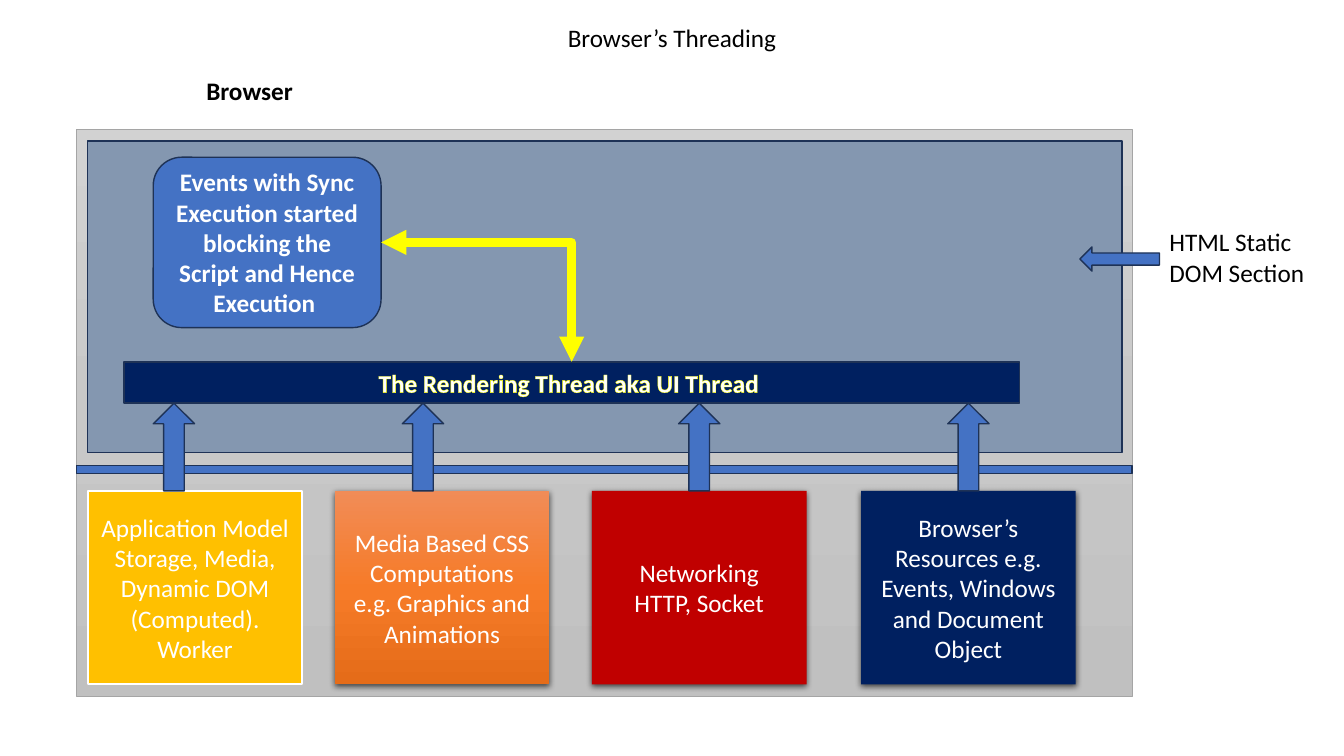
import copy

import pptx
import pptx.dml.color
import pptx.enum.shapes
import pptx.enum.text
import pptx.oxml
import pptx.oxml.ns
import pptx.util

Inches = pptx.util.Inches
Pt = pptx.util.Pt
RGBColor = pptx.dml.color.RGBColor
Shape = pptx.enum.shapes.MSO_SHAPE
Align = pptx.enum.text.PP_ALIGN
NS = pptx.oxml.ns.nsdecls("a")

BLACK = RGBColor(0x00, 0x00, 0x00)
WHITE = RGBColor(0xFF, 0xFF, 0xFF)
YELLOW = RGBColor(0xFF, 0xFF, 0x00)
BLUE = RGBColor(0x44, 0x72, 0xC4)
DARK_BLUE = RGBColor(0x1E, 0x32, 0x56)
NAVY = RGBColor(0x00, 0x20, 0x60)
SLATE = RGBColor(0x84, 0x97, 0xB0)
GOLD = RGBColor(0xFF, 0xC0, 0x00)
RED = RGBColor(0xC0, 0x00, 0x00)
GRAY = RGBColor(0xA5, 0xA5, 0xA5)
GRAYS = (RGBColor(0xD2, 0xD2, 0xD2), RGBColor(0xC8, 0xC8, 0xC8), RGBColor(0xC0, 0xC0, 0xC0))
ORANGES = (RGBColor(0xF1, 0x8C, 0x57), RGBColor(0xF6, 0x7B, 0x28), RGBColor(0xE5, 0x6C, 0x19))

SERVICE_TOP, SERVICE_WIDTH, SERVICE_HEIGHT = 4.87, 2.13, 1.92
ARROW_TOP, ARROW_WIDTH = 4.0, 0.41
# left edge, arrow left edge, fill, outline, paragraphs
SERVICES = [
    (0.87, 1.52, GOLD, (WHITE, 1.5),
     ["Application Model", "Storage, Media, Dynamic DOM (Computed).", "Worker"]),
    (3.32, 3.99, ORANGES, None,
     ["Media Based CSS Computations", "e.g. Graphics and Animations"]),
    (5.87, 6.73, RED, None, ["Networking", "HTTP, Socket"]),
    (8.54, 9.4, NAVY, None,
     ["Browser’s Resources e.g. Events, Windows and Document Object"]),
]


def write(frame, paragraphs, color, align=Align.CENTER, bold=False):
    frame.word_wrap = True
    for index, text in enumerate(paragraphs):
        paragraph = frame.add_paragraph() if index else frame.paragraphs[0]
        paragraph.alignment = align
        run = paragraph.add_run()
        run.text = text
        run.font.name = "Calibri"
        run.font.size = Pt(18)
        run.font.bold = bold
        run.font.color.rgb = color


def add_label(slide, place, text, align=Align.CENTER, bold=False):
    label = slide.shapes.add_textbox(*map(Inches, place))
    write(label.text_frame, [text], BLACK, align, bold)
    label.text_frame.auto_size = pptx.enum.text.MSO_AUTO_SIZE.SHAPE_TO_FIT_TEXT


def fill_down(fill, colors):
    """Fill with a gradient of three evenly spaced colours, top to bottom."""
    fill.gradient()
    fill.gradient_angle = 270
    first = fill.gradient_stops[0]._gs
    first.addnext(copy.deepcopy(first))
    for stop, position, color in zip(fill.gradient_stops, (0, 0.5, 1), colors):
        stop.position = position
        stop.color.rgb = color


def add_block(slide, kind, place, fill, outline=(DARK_BLUE, 1), paragraphs=(), bold=False):
    """Add a shape; fill is one colour or a tuple of gradient colours."""
    block = slide.shapes.add_shape(kind, *map(Inches, place))
    block.shadow.inherit = False
    if isinstance(fill, RGBColor):
        block.fill.solid()
        block.fill.fore_color.rgb = fill
    else:
        fill_down(block.fill, fill)
    if outline:
        block.line.color.rgb = outline[0]
        block.line.width = Pt(outline[1])
    else:
        block.line.fill.background()
    block.text_frame.vertical_anchor = pptx.enum.text.MSO_ANCHOR.MIDDLE
    write(block.text_frame, paragraphs, WHITE, bold=bold)
    return block


def add_drop_shadow(block):
    effects = block._element.spPr.find(pptx.oxml.ns.qn("a:effectLst"))
    effects.append(pptx.oxml.parse_xml(
        f'<a:outerShdw {NS} blurRad="{Pt(4.5)}" dist="{Pt(1.5)}" dir="5400000" '
        'algn="ctr" rotWithShape="0"><a:srgbClr val="000000">'
        '<a:alpha val="63000"/></a:srgbClr></a:outerShdw>'))


def outline_text(run, color, width):
    run.font._element.insert(0, pptx.oxml.parse_xml(
        f'<a:ln {NS} w="{Pt(width)}"><a:solidFill><a:srgbClr val="{color}"/>'
        '</a:solidFill></a:ln>'))


def add_two_way_link(slide, events, thread):
    """Join the events' right side to the thread's top with one bend."""
    link = slide.shapes.add_connector(
        pptx.enum.shapes.MSO_CONNECTOR.ELBOW,
        Inches(3.78), Inches(2.41), Inches(5.67), Inches(3.59))
    link.begin_connect(events, 3)
    link.end_connect(thread, 0)
    link.line.color.rgb = YELLOW
    link.line.width = Pt(6)
    properties = link._element.spPr
    properties.find(pptx.oxml.ns.qn("a:prstGeom")).set("prst", "bentConnector2")
    line = properties.find(pptx.oxml.ns.qn("a:ln"))
    for end in ("headEnd", "tailEnd"):
        line.append(pptx.oxml.parse_xml(f'<a:{end} {NS} type="triangle"/>'))
    properties.append(pptx.oxml.parse_xml(f"<a:effectLst {NS}/>"))


def add_services(slide):
    for left, _, fill, outline, paragraphs in SERVICES:
        service = add_block(
            slide, Shape.RECTANGLE, (left, SERVICE_TOP, SERVICE_WIDTH, SERVICE_HEIGHT),
            fill, outline, paragraphs)
        if not outline:
            add_drop_shadow(service)
    for _, arrow_left, *_ in SERVICES:
        add_block(slide, Shape.UP_ARROW,
                  (arrow_left, ARROW_TOP, ARROW_WIDTH, SERVICE_TOP - ARROW_TOP), BLUE)


def main():
    deck = pptx.Presentation()
    deck.slide_width = Inches(13.33)
    deck.slide_height = Inches(7.5)
    slide = deck.slides.add_slide(deck.slide_layouts[6])

    add_label(slide, (4.2, 0.17, 4.93, 0.4), "Browser’s Threading")
    add_block(slide, Shape.RECTANGLE, (0.76, 1.28, 10.47, 5.63), GRAYS, (GRAY, 0.5))
    add_label(slide, (0.87, 0.7, 3.21, 0.4), "Browser", bold=True)
    add_block(slide, Shape.RECTANGLE, (0.76, 4.62, 10.47, 0.08), BLUE)
    add_block(slide, Shape.RECTANGLE, (0.87, 1.4, 10.26, 3.09), SLATE)
    add_label(slide, (11.5, 2.2, 1.83, 0.71), "HTML Static DOM Section", Align.LEFT)
    add_block(slide, Shape.LEFT_ARROW, (10.71, 2.45, 0.79, 0.24), BLUE)

    add_services(slide)
    thread = add_block(slide, Shape.RECTANGLE, (1.23, 3.59, 8.88, 0.41), NAVY,
                       paragraphs=["The Rendering Thread aka UI Thread "], bold=True)
    outline_text(thread.text_frame.paragraphs[0].runs[0], YELLOW, 0.75)
    events = add_block(
        slide, Shape.ROUNDED_RECTANGLE, (1.52, 1.56, 2.26, 1.69), BLUE, bold=True,
        paragraphs=["Events with Sync Execution started blocking the Script and Hence Execution "])
    add_two_way_link(slide, events, thread)

    deck.save("out.pptx")


if __name__ == "__main__":
    main()
